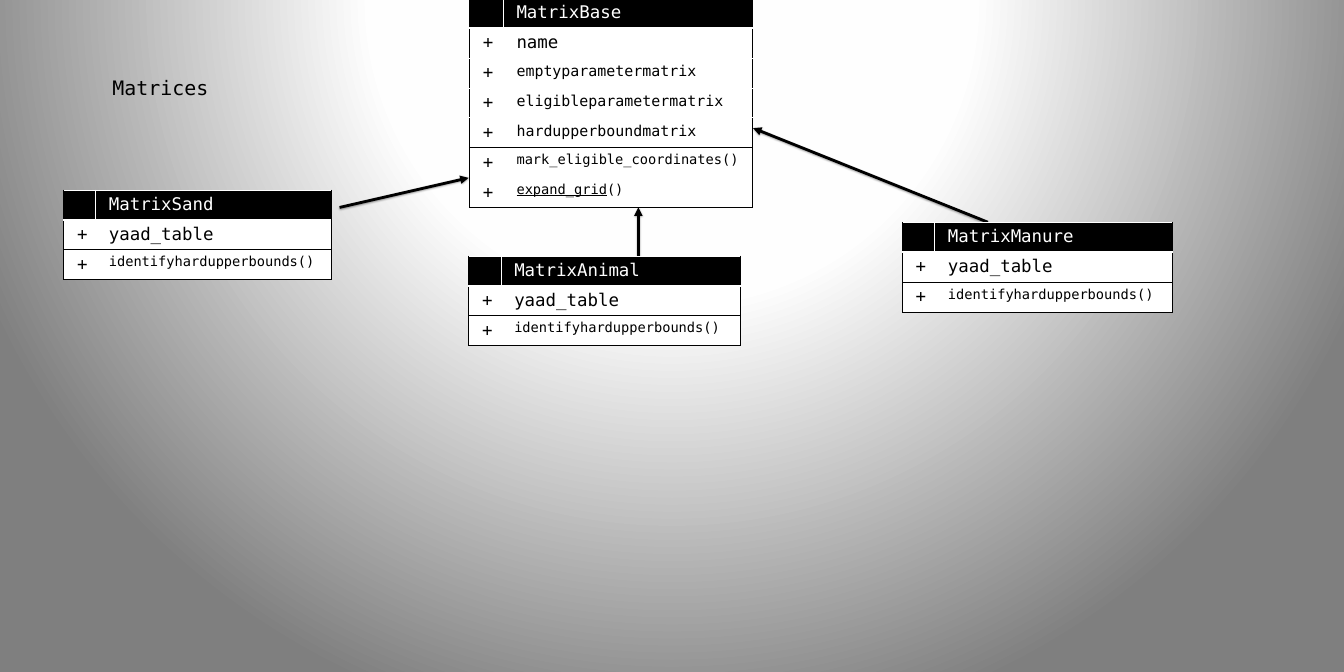
import lxml.etree
import pptx
import pptx.dml.color
import pptx.enum.shapes
import pptx.enum.text
import pptx.oxml
import pptx.oxml.ns
import pptx.util

PX = 9144  # 100 px to the inch
FONT = "DejaVu Sans Mono"
BLACK, WHITE = "000000", "FFFFFF"
NS = pptx.oxml.ns.nsdecls("a", "p")
qn = pptx.oxml.ns.qn


def px(n):
    return pptx.util.Emu(round(n * PX))


def rgb(value):
    return pptx.dml.color.RGBColor.from_string(value)


def set_all(obj, values):
    for name, value in values.items():
        setattr(obj, name, value)


def write(tf, text, size, color, underline=None):
    r = tf.paragraphs[0].add_run()
    r.text = text
    set_all(r.font, {"size": pptx.util.Pt(size), "name": FONT, "underline": underline})
    r.font.color.rgb = rgb(color)


def draw_background(slide):
    stops = "".join(
        f'<a:gs pos="{pos * 1000}"><a:srgbClr val="{color}"/></a:gs>'
        for pos, color in ((0, WHITE), (40, "FEFEFE"), (100, "7F7F7F")))
    slide.background.fill.solid()
    bg = slide._element.cSld.find(qn("p:bg"))
    bg.replace(bg[0], pptx.oxml.parse_xml(
        f'<p:bgPr {NS}><a:gradFill rotWithShape="1"><a:gsLst>{stops}</a:gsLst>'
        '<a:path path="circle"><a:fillToRect l="50000" t="-80000" r="50000" b="180000"/>'
        '</a:path></a:gradFill><a:effectLst/></p:bgPr>'))


def style_cell(cell, fill, borders):
    """Borders are (colour, points) or None, in the order L, R, T, B."""
    tc_pr = cell._tc.get_or_add_tcPr()
    for side, border in zip("LRTB", borders):
        color, points = border or (None, 0)
        paint = (f'<a:solidFill><a:srgbClr val="{color}"/></a:solidFill>'
                 if color else "<a:noFill/>")
        tc_pr.append(pptx.oxml.parse_xml(
            f'<a:ln{side} {NS} w="{points * 12700}">{paint}</a:ln{side}>'))
    cell.fill.solid()
    cell.fill.fore_color.rgb = rgb(fill)
    set_all(cell, {"margin_left": px(30), "margin_right": px(30),
                   "margin_top": px(10), "margin_bottom": px(10)})


def class_table(slide, box, mark_width, name, attributes, methods, underlined=()):
    x, y, w, h = box
    # Each row: text, size, rule below
    black, white = (BLACK, 1), (WHITE, 1)
    rows = [(name, 28, (WHITE, 3))]
    rows += [(text, 24 if i else 28, white) for i, text in enumerate(attributes)]
    rows[-1] = rows[-1][:2] + (black,)
    rows += [(text, 22, None) for text in methods]
    rows[-1] = rows[-1][:2] + (black,)

    table = slide.shapes.add_table(len(rows), 2, px(x), px(y), px(w), px(h)).table
    set_all(table, {"first_row": False, "horz_banding": False})
    for col, width in zip(table.columns, (mark_width, w - mark_width)):
        col.width = px(width)

    above = white
    for i, (text, size, below) in enumerate(rows):
        table.rows[i].height = px(h / len(rows))
        mark, label = table.cell(i, 0), table.cell(i, 1)
        fill, color = (WHITE, BLACK) if i else (BLACK, WHITE)
        style_cell(mark, fill, (black, white, above, below))
        style_cell(label, fill, (white, black, above, below))
        if i:
            write(mark.text_frame, "+", 28, color)
        if text in underlined:
            write(label.text_frame, text.removesuffix("()"), size, color, True)
            text = "()"
        write(label.text_frame, text, size, color)
        above = below


def arrow(slide, start, end):
    line = slide.shapes.add_connector(
        pptx.enum.shapes.MSO_CONNECTOR.STRAIGHT, *map(px, start + end))
    line.line.width = pptx.util.Pt(4.5)
    line.line.color.rgb = rgb(BLACK)
    ln = line.line._get_or_add_ln()
    lxml.etree.SubElement(ln, qn("a:tailEnd"), type="triangle")
    line._element.spPr.append(pptx.oxml.parse_xml(
        f'<a:effectLst {NS}><a:outerShdw blurRad="40000" dist="20000" dir="5400000" '
        f'rotWithShape="0"><a:srgbClr val="{BLACK}"><a:alpha val="38000"/></a:srgbClr>'
        '</a:outerShdw></a:effectLst>'))


def title(slide, box, text):
    tf = slide.shapes.add_textbox(*map(px, box)).text_frame
    set_all(tf, {"word_wrap": False, "margin_left": px(20), "margin_right": px(20),
                 "margin_top": px(10), "margin_bottom": px(10),
                 "auto_size": pptx.enum.text.MSO_AUTO_SIZE.SHAPE_TO_FIT_TEXT})
    write(tf, text, 32, BLACK)


def matrices_slide(prs):
    slide = prs.slides.add_slide(prs.slide_layouts[6])
    draw_background(slide)

    # Base class
    class_table(slide, (1048, -4, 632, 467), 75, "MatrixBase",
                ["name", "emptyparametermatrix", "eligibleparametermatrix",
                 "hardupperboundmatrix"],
                ["mark_eligible_coordinates()", "expand_grid()"],
                underlined=("expand_grid()",))

    # Inheritance arrows
    for start, end in (((1425, 571), (1425, 463)),
                       ((758, 463), (1046, 397)),
                       ((2205, 496), (1681, 286))):
        arrow(slide, start, end)

    title(slide, (231, 159, 256, 74), "Matrices")

    # Derived classes
    for name, x, y, w, mark_width in (("MatrixSand", 142, 424, 597, 71),
                                      ("MatrixAnimal", 1046, 571, 607, 72),
                                      ("MatrixManure", 2014, 496, 603, 72)):
        class_table(slide, (x, y, w, 200), mark_width, name,
                    ["yaad_table"], ["identifyhardupperbounds()"])


def main():
    prs = pptx.Presentation()
    set_all(prs, {"slide_width": px(3000), "slide_height": px(1500)})
    matrices_slide(prs)
    prs.save("out.pptx")


if __name__ == "__main__":
    main()
